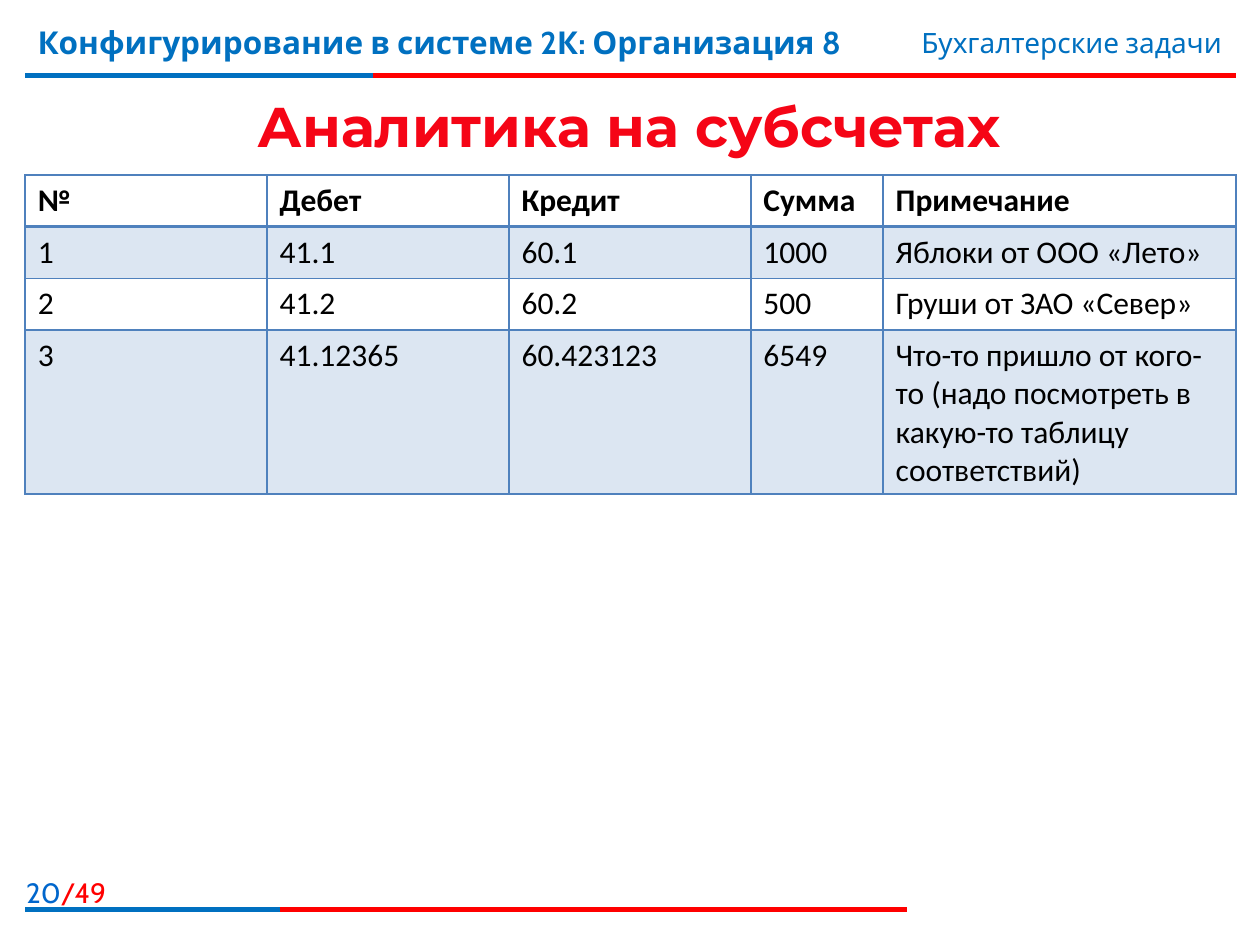
from dataclasses import dataclass

from lxml.etree import SubElement
from pptx import Presentation
from pptx.dml.color import RGBColor
from pptx.enum.shapes import MSO_CONNECTOR
from pptx.enum.text import MSO_ANCHOR, PP_ALIGN
from pptx.oxml.ns import qn
from pptx.util import Inches, Pt


@dataclass(frozen=True)
class Theme:
    blue: str = "0070C0"
    page_blue: str = "0066CC"
    red: str = "FF0000"
    title_red: str = "F50516"
    black: str = "000000"
    grid: str = "4F81BD"
    band: str = "DCE6F2"
    label_font: str = "Cabin"
    title_font: str = "Montserrat"
    table_font: str = "Calibri"
    title_size: int = 32
    text_size: int = 18
    small_size: int = 16
    rule_width: int = 3


THEME = Theme()

COLUMNS = [1.92, 1.92, 1.92, 1.05, 2.8]
ROW_HEIGHTS = [0.41, 0.41, 0.41, 1.29]
ENTRIES = [
    ["№", "Дебет", "Кредит", "Сумма", "Примечание"],
    ["1", "41.1", "60.1", "1000", "Яблоки от ООО «Лето»"],
    ["2", "41.2", "60.2", "500", "Груши от ЗАО «Север»"],
    ["3", "41.12365", "60.423123", "6549",
     "Что-то пришло от кого-то (надо посмотреть в какую-то таблицу соответствий)"],
]


def write(p, text, font=THEME.label_font, size=THEME.text_size,
          color=THEME.blue, bold=False, align=PP_ALIGN.LEFT):
    p.alignment = align
    r = p.add_run()
    r.text = text
    r.font.name = font
    r.font.size = Pt(size)
    r.font.bold = bold
    r.font.color.rgb = RGBColor.from_string(color)


def add_text(s, left, top, width, height):
    sp = s.shapes.add_textbox(Inches(left), Inches(top), Inches(width), Inches(height))
    sp.text_frame.word_wrap = True
    return sp.text_frame.paragraphs[0]


def add_line(s, left, right, y, color):
    line = s.shapes.add_connector(
        MSO_CONNECTOR.STRAIGHT, Inches(left), Inches(y), Inches(right), Inches(y))
    line.line.color.rgb = RGBColor.from_string(color)
    line.line.width = Pt(THEME.rule_width)
    SubElement(line._element.spPr, qn("a:effectLst"))


def add_rule(s, y, split, right):
    add_line(s, 0.2, right, y, THEME.red)
    add_line(s, 0.2, split, y, THEME.blue)


def add_title(s, text):
    sp = s.shapes.title
    sp.left, sp.top = Inches(0.19), Inches(0.6)
    sp.width, sp.height = Inches(9.61), Inches(0.79)
    sp.text_frame.vertical_anchor = MSO_ANCHOR.MIDDLE
    write(sp.text_frame.paragraphs[0], text, font=THEME.title_font, bold=True,
          size=THEME.title_size, color=THEME.title_red, align=PP_ALIGN.CENTER)


def set_borders(cell, top, bottom):
    tc_pr = cell._tc.get_or_add_tcPr()
    for side, width in (("L", 1), ("R", 1), ("T", top), ("B", bottom)):
        ln = SubElement(tc_pr, qn(f"a:ln{side}"), w=str(Pt(width)))
        fill = SubElement(ln, qn("a:solidFill"))
        SubElement(fill, qn("a:srgbClr"), val=THEME.grid)


def add_entries_table(s):
    table = s.shapes.add_table(
        len(ENTRIES), len(COLUMNS), Inches(0.2), Inches(1.39),
        Inches(sum(COLUMNS)), Inches(sum(ROW_HEIGHTS))).table
    table.first_row = table.horz_banding = False
    for column, width in zip(table.columns, COLUMNS):
        column.width = Inches(width)
    for i, (row, height) in enumerate(zip(table.rows, ROW_HEIGHTS)):
        row.height = Inches(height)
        for cell, text in zip(row.cells, ENTRIES[i]):
            set_borders(cell, top=2 if i == 1 else 1, bottom=2 if i == 0 else 1)
            if i % 2:
                cell.fill.solid()
                cell.fill.fore_color.rgb = RGBColor.from_string(THEME.band)
            else:
                cell.fill.background()
            write(cell.text_frame.paragraphs[0], text, font=THEME.table_font,
                  color=THEME.black, bold=i == 0)


def add_page_number(s, page, total):
    p = add_text(s, -0.1, 6.9, 1.04, 0.32)
    for text, color in ((page, THEME.page_blue), (f"/{total}", THEME.red)):
        write(p, text, size=THEME.small_size, color=color, align=PP_ALIGN.RIGHT)


def main():
    prs = Presentation()
    prs.slide_width, prs.slide_height = Inches(10), Inches(7.5)
    s = prs.slides.add_slide(prs.slide_layouts[5])
    add_rule(s, y=0.6, split=2.96, right=9.81)
    add_page_number(s, "20", "49")
    add_rule(s, y=7.22, split=2.22, right=7.2)
    write(add_text(s, 0.2, 0.13, 7.4, 0.62),
          "Конфигурирование в системе 2К: Организация 8", bold=True)
    write(add_text(s, 5.94, 0.15, 3.86, 0.37), "Бухгалтерские задачи",
          size=THEME.small_size, align=PP_ALIGN.RIGHT)
    add_entries_table(s)
    add_title(s, "Аналитика на субсчетах")
    prs.save("out.pptx")


if __name__ == "__main__":
    main()
